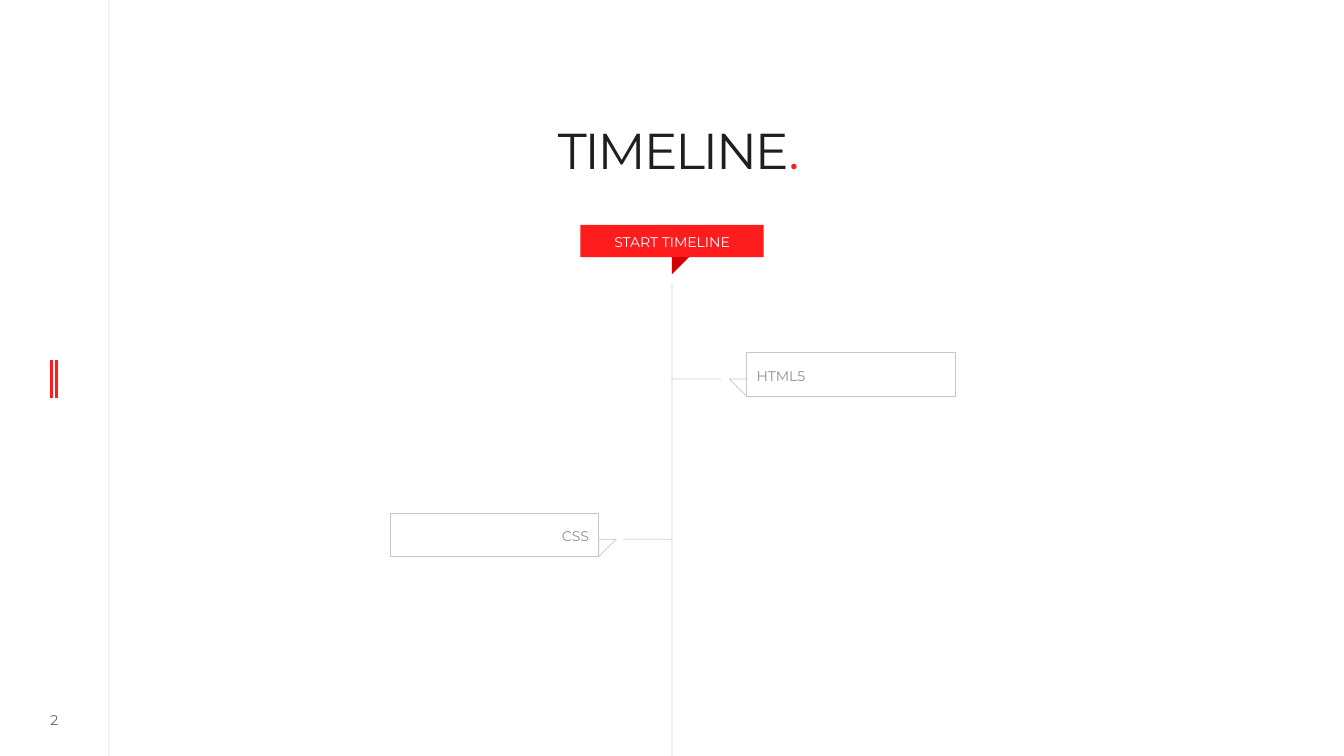
from lxml import etree
from pptx import Presentation
from pptx.dml.color import RGBColor
from pptx.enum.shapes import MSO_CONNECTOR, MSO_SHAPE
from pptx.enum.text import MSO_ANCHOR, MSO_AUTO_SIZE, PP_ALIGN
from pptx.oxml.ns import qn
from pptx.util import Inches, Pt

RECT, TRIANGLE = MSO_SHAPE.RECTANGLE, MSO_SHAPE.RIGHT_TRIANGLE
LEFT, CENTER, RIGHT = PP_ALIGN.LEFT, PP_ALIGN.CENTER, PP_ALIGN.RIGHT
TOP, MIDDLE = MSO_ANCHOR.TOP, MSO_ANCHOR.MIDDLE

# Content
TITLE = [(" TIMELINE", "ink"), (".", "red")]
START = "START TIMELINE"
EVENTS = [("HTML5", 1), ("CSS", -1)]  # label, side of the spine
PAGE = "2"

# Style and layout, in inches
COLORS = {"ink": "1F1F1F", "red": "FE1C1D", "dark_red": "D30102",
          "border": "C7C7C7", "label": "8F8F8F", "white": "FFFFFF"}
FONT = "Montserrat"
W, H = 13.33, 7.5
SPINE_X, SPINE_TOP = W / 2, 2.81
RAIL_X, MARK_X, MARK_GAP = 1.08, 0.535, 0.05
MARK_TOP, MARK_BOTTOM = 3.57, 3.95
START_W, START_H, START_TOP = 1.82, 0.32, 2.23
CARD_W, CARD_H, CARD_GAP = 2.07, 0.43, 0.74
TAIL, BRANCH = 0.17, 0.485
FIRST_Y, STEP_Y = 3.76, 1.59
BUTTON_INSETS, CARD_INSETS = (0, 0.07, 0, 0.05), (0.1, 0.07, 0.1, 0.05)

prs = Presentation()
prs.slide_width, prs.slide_height = Inches(W), Inches(H)
slide = prs.slides.add_slide(prs.slide_layouts[5])


def rgb(name):
    return RGBColor.from_string(COLORS[name])


def set_alpha(element, percent):
    for color in element.iter(qn("a:srgbClr")):
        etree.SubElement(color, qn("a:alpha")).set("val", str(percent * 1000))


def add_line(x1, y1, x2, y2, color="ink", width=0.5, alpha=20):
    ln = slide.shapes.add_connector(MSO_CONNECTOR.STRAIGHT, Inches(x1), Inches(y1),
                                    Inches(x2), Inches(y2))
    ln.line.color.rgb = rgb(color)
    ln.line.width = Pt(width)
    sp_pr = ln._element.spPr
    if alpha < 100:
        set_alpha(sp_pr, alpha)
    etree.SubElement(sp_pr, qn("a:effectLst"))


def add_box(shapes, kind, x, y, w, h, fill=None, line=None, rotation=0):
    sp = shapes.add_shape(kind, Inches(x), Inches(y), Inches(w), Inches(h))
    sp.shadow.inherit = False
    sp.rotation = rotation
    if fill:
        sp.fill.solid()
        sp.fill.fore_color.rgb = rgb(fill)
    else:
        sp.fill.background()
    if line:
        sp.line.color.rgb = rgb(line)
        sp.line.width = Pt(0.5)
    else:
        sp.line.fill.background()
    return sp


def write(sp, runs, size=10, align=CENTER, anchor=MIDDLE, insets=(0, 0, 0, 0)):
    tf = sp.text_frame
    tf.word_wrap = True
    tf.auto_size = MSO_AUTO_SIZE.NONE
    tf.vertical_anchor = anchor
    tf.margin_left, tf.margin_top, tf.margin_right, tf.margin_bottom = map(Inches, insets)
    p = tf.paragraphs[0]
    p.alignment = align
    for text, color in runs:
        r = p.add_run()
        r.text = text
        r.font.name, r.font.size = FONT, Pt(size)
        r.font.color.rgb = rgb(color)
    return p


# Side rail with its double mark and page number
add_line(RAIL_X, 0, RAIL_X, H)
for side in (-1, 1):
    x = MARK_X + side * MARK_GAP / 2
    add_line(x, MARK_TOP, x, MARK_BOTTOM, "red", 2, 100)
page = slide.shapes.add_textbox(Inches(0.26), Inches(7.02), Inches(0.56), Inches(0.25))
write(page, [(PAGE, "ink")])
set_alpha(page._element, 70)

# Title
title = slide.shapes.title
title.left, title.top, title.width, title.height = map(Inches, (2.04, 1.09, 9.27, 0.81))
p = write(title, TITLE, 36, anchor=TOP, insets=(0, 0.21, 0, 0))
p.line_spacing = 0.8
for r in p.runs:
    r.font._element.set("spc", "-150")

# Start button and spine
start = add_box(slide.shapes, RECT, SPINE_X - START_W / 2, START_TOP, START_W, START_H, "red")
write(start, [(START, "white")], insets=BUTTON_INSETS)
add_box(slide.shapes, TRIANGLE, SPINE_X, START_TOP + START_H, TAIL, TAIL, "dark_red", rotation=90)
add_line(SPINE_X, SPINE_TOP, SPINE_X, H)

# Events alternate along the spine: branch, card and tail
for i, (label, side) in enumerate(EVENTS):
    y = FIRST_Y + i * STEP_Y
    add_line(SPINE_X, y, SPINE_X + side * BRANCH, y)
    if side > 0:
        card_x = SPINE_X + CARD_GAP
        tail_x, rotation, align = card_x - TAIL, 180, LEFT
    else:
        card_x = SPINE_X - CARD_GAP + 0.015 - CARD_W
        tail_x, rotation, align = card_x + CARD_W, 90, RIGHT
    group = slide.shapes.add_group_shape().shapes
    card = add_box(group, RECT, card_x, y + TAIL - CARD_H, CARD_W, CARD_H, line="border")
    write(card, [(label, "label")], align=align, insets=CARD_INSETS)
    add_box(group, TRIANGLE, tail_x, y, TAIL, TAIL, line="border", rotation=rotation)

prs.save("out.pptx")
